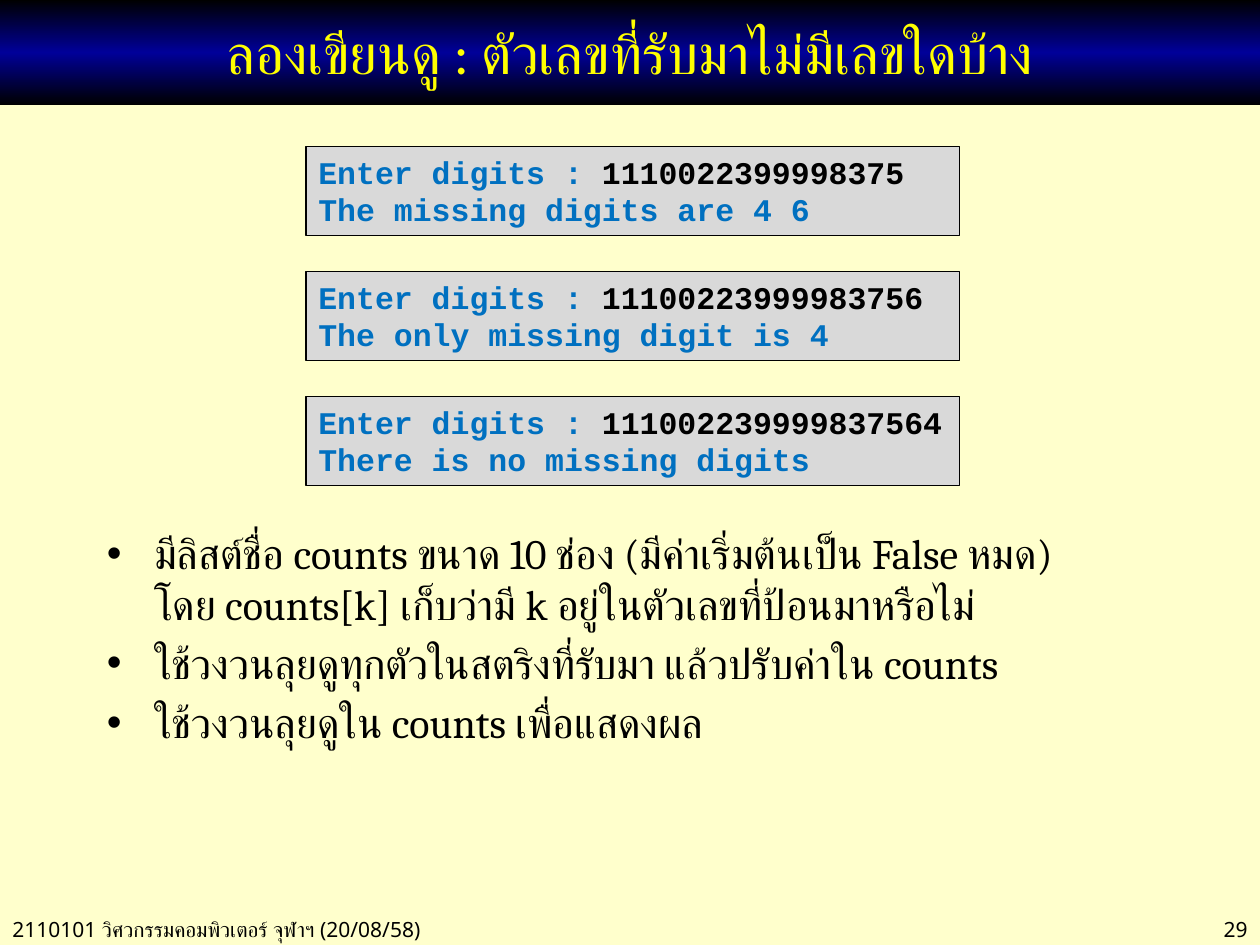
from copy import deepcopy
from dataclasses import dataclass

from lxml.etree import SubElement
from pptx import Presentation
from pptx.dml.color import RGBColor
from pptx.enum.shapes import MSO_SHAPE
from pptx.enum.text import MSO_ANCHOR, PP_ALIGN
from pptx.oxml.ns import qn
from pptx.shapes.autoshape import Shape
from pptx.util import Pt


@dataclass(frozen=True)
class Theme:
    page: RGBColor = RGBColor(0xFF, 0xFF, 0xCC)
    ink: RGBColor = RGBColor(0, 0, 0)
    navy: RGBColor = RGBColor(0, 0, 0x99)
    yellow: RGBColor = RGBColor(0xFF, 0xFF, 0)
    console: RGBColor = RGBColor(0xD9, 0xD9, 0xD9)
    prompt: RGBColor = RGBColor(0, 0x70, 0xC0)
    title_size: int = 32
    body_size: int = 24
    code_size: int = 18
    footer_size: int = 12
    title_font: str = "Calibri"
    body_font: str = "Cambria"
    code_font: str = "Courier New"
    footer_font: str = "Noto Sans"


@dataclass(frozen=True)
class Box:
    left: float
    top: float
    width: float
    height: float

    def lengths(self) -> tuple[Pt, Pt, Pt, Pt]:
        return Pt(self.left), Pt(self.top), Pt(self.width), Pt(self.height)


@dataclass(frozen=True)
class Span:
    text: str
    color: RGBColor


@dataclass(frozen=True)
class Session:
    digits: str
    answer: str


@dataclass(frozen=True)
class Footer:
    text: str
    box: Box
    align: PP_ALIGN


THEME = Theme()
SESSIONS = (
    Session("1110022399998375", "The missing digits are 4 6"),
    Session("11100223999983756", "The only missing digit is 4"),
    Session("111002239999837564", "There is no missing digits"),
)
STEPS = (
    "มีลิสต์ชื่อ counts ขนาด 10 ช่อง (มีค่าเริ่มต้นเป็น False หมด)\n"
    "โดย counts[k] เก็บว่ามี k อยู่ในตัวเลขที่ป้อนมาหรือไม่",
    "ใช้วงวนลุยดูทุกตัวในสตริงที่รับมา แล้วปรับค่าใน counts",
    "ใช้วงวนลุยดูใน counts เพื่อแสดงผล",
)
FOOTERS = (
    Footer("2110101 วิศวกรรมคอมพิวเตอร์ จุฬาฯ (20/08/58)",
           Box(0, 520, 281, 21.6), PP_ALIGN.LEFT),
    Footer("29", Box(620.6, 520, 99.4, 21.6), PP_ALIGN.RIGHT),
)


def write(shape: Shape, paragraphs: list[list[Span]], *, font: str, size: int,
          bold: bool = False, align: PP_ALIGN = PP_ALIGN.LEFT,
          anchor: MSO_ANCHOR = MSO_ANCHOR.TOP, before: float = 0,
          bullet: str = "", indent: float = 0) -> None:
    frame = shape.text_frame
    frame.word_wrap = True
    frame.vertical_anchor = anchor
    for index, spans in enumerate(paragraphs):
        paragraph = frame.paragraphs[0] if index == 0 else frame.add_paragraph()
        paragraph.alignment = align
        paragraph.space_before = Pt(before)
        if bullet:
            properties = paragraph._p.get_or_add_pPr()
            properties.set("marL", str(Pt(indent)))
            properties.set("indent", str(-Pt(indent)))
            SubElement(properties, qn("a:buFont"), typeface="Arial")
            SubElement(properties, qn("a:buChar"), char=bullet)
        for span in spans:
            for line, text in enumerate(span.text.split("\n")):
                if line:
                    paragraph.add_line_break()
                run = paragraph.add_run()
                run.text = text
                run.font.name = font
                run.font.size = Pt(size)
                run.font.bold = bold
                run.font.color.rgb = span.color
                SubElement(run._r.get_or_add_rPr(), qn("a:cs"), typeface=font)


def add_box(shapes, box: Box) -> Shape:
    shape = shapes.add_shape(MSO_SHAPE.RECTANGLE, *box.lengths())
    shape.shadow.inherit = False
    return shape


def add_title(shapes, text: str) -> None:
    banner = add_box(shapes, Box(0, 0, 720, 60))
    banner.line.fill.background()
    banner.fill.gradient()
    banner.fill.gradient_angle = 90
    first, last = banner.fill.gradient_stops
    first.color.rgb, first.position = THEME.ink, 0
    last.color.rgb, last.position = THEME.navy, 0.5
    stops = banner._element.spPr.find(".//" + qn("a:gsLst"))
    end = deepcopy(stops[0])
    end.set("pos", "100000")
    stops.append(end)
    write(banner, [[Span(text, THEME.yellow)]], font=THEME.title_font,
          size=THEME.title_size, align=PP_ALIGN.CENTER, anchor=MSO_ANCHOR.MIDDLE)


def add_session(shapes, session: Session, top: float) -> None:
    console = add_box(shapes, Box(174.8, top, 373.7, 50.9))
    console.fill.solid()
    console.fill.fore_color.rgb = THEME.console
    console.line.color.rgb = THEME.ink
    console.line.width = Pt(0.75)
    lines = [
        [Span("Enter digits : ", THEME.prompt), Span(session.digits, THEME.ink)],
        [Span(session.answer, THEME.prompt)],
    ]
    write(console, lines, font=THEME.code_font, size=THEME.code_size, bold=True)


def build() -> None:
    deck = Presentation()
    deck.slide_width, deck.slide_height = Pt(720), Pt(540)
    slide = deck.slides.add_slide(deck.slide_layouts[6])
    slide.background.fill.solid()
    slide.background.fill.fore_color.rgb = THEME.page
    shapes = slide.shapes

    for footer in FOOTERS:
        write(shapes.add_textbox(*footer.box.lengths()),
              [[Span(footer.text, THEME.ink)]], font=THEME.footer_font,
              size=THEME.footer_size, align=footer.align)
    add_title(shapes, "ลองเขียนดู : ตัวเลขที่รับมาไม่มีเลขใดบ้าง")
    steps = shapes.add_textbox(*Box(54, 298, 623.5, 175.7).lengths())
    write(steps, [[Span(step, THEME.ink)] for step in STEPS],
          font=THEME.body_font, size=THEME.body_size, before=5,
          bullet="•", indent=27)
    for row, session in enumerate(SESSIONS):
        add_session(shapes, session, 83.7 + 71.4 * row)
    deck.save("out.pptx")


build()
